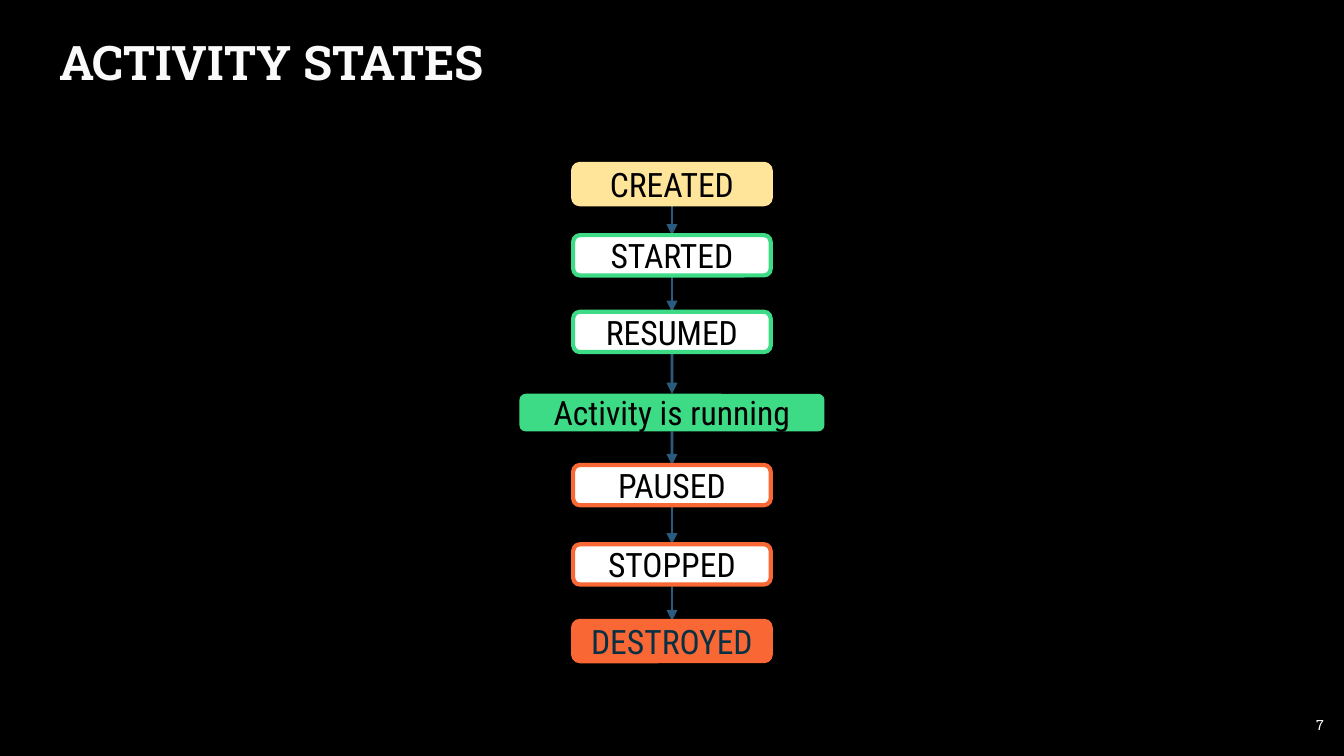
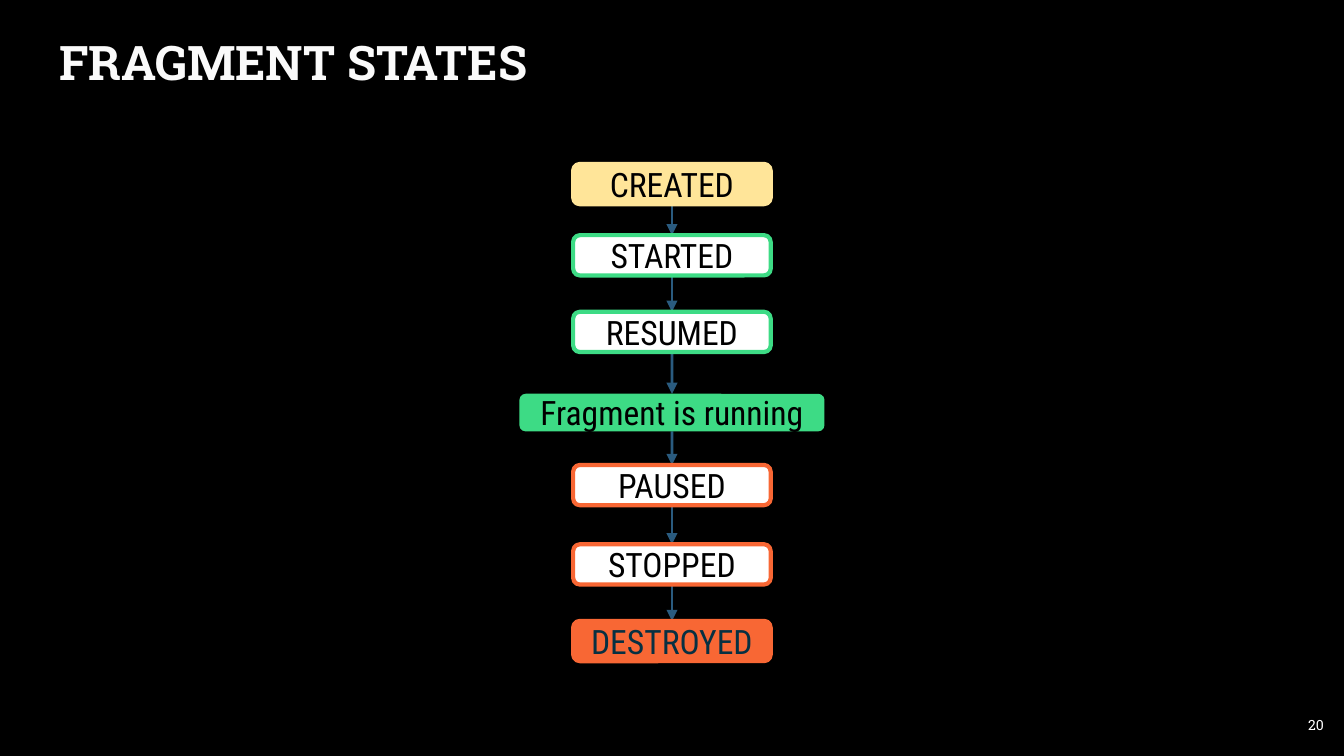
"""Build two lifecycle slides: activity states and fragment states."""
import pptx
import pptx.dml.color
import pptx.enum.shapes
import pptx.enum.text
import pptx.oxml
import pptx.oxml.ns
import pptx.util

LIFECYCLES = [
    {"title": "ACTIVITY STATES", "running": "Activity is running", "page": "7"},
    {"title": "FRAGMENT STATES", "running": "Fragment is running", "page": "20"},
]
STATES = [
    ("CREATED", 1.22, "cream", "cream", "black"),
    ("STARTED", 1.75, "white", "green", "black"),
    ("RESUMED", 2.32, "white", "green", "black"),
    ("running", 2.93, "green", None, "black"),
    ("PAUSED", 3.46, "white", "orange", "black"),
    ("STOPPED", 4.05, "white", "orange", "black"),
    ("DESTROYED", 4.62, "orange", "orange", "navy"),
]
COLOURS = {
    "black": "000000", "white": "FFFFFF", "title": "FAFAFA", "cream": "FFE599",
    "green": "3DDB85", "orange": "F86734", "navy": "073042", "arrow": "2A5B7F",
}
WIDTH = 10
HEIGHT = WIDTH * 9 / 16
STATE_SIZE, RUNNING_SIZE = (1.47, 0.3), (2.27, 0.28)
CORNER = 0.167
ALIGN = pptx.enum.text.PP_ALIGN
ANCHOR = pptx.enum.text.MSO_ANCHOR
FONTS = {
    "title": {"name": "Roboto Slab", "size": pptx.util.Pt(25.5), "bold": True},
    "page": {"name": "Roboto Slab", "size": pptx.util.Pt(7.5)},
    "state": {"name": "Roboto Condensed", "size": pptx.util.Pt(18)},
}
FRAME = {
    "word_wrap": True, "auto_size": pptx.enum.text.MSO_AUTO_SIZE.NONE,
    **{f"margin_{side}": pptx.util.Inches(0.1) for side in ("left", "top", "right", "bottom")},
}


def inches(*lengths):
    return [pptx.util.Inches(length) for length in lengths]


def colour(name):
    return pptx.dml.color.RGBColor.from_string(COLOURS[name])


def apply(target, formats):
    for attribute, value in formats.items():
        setattr(target, attribute, value)


def paint(fill, name):
    fill.solid()
    fill.fore_color.rgb = colour(name)


def write(holder, words, style, ink, align, anchor=ANCHOR.MIDDLE):
    frame = holder.text_frame
    frame.text = words
    apply(frame, {**FRAME, "vertical_anchor": anchor})
    paragraph = frame.paragraphs[0]
    paragraph.alignment = align
    font = paragraph.runs[0].font
    apply(font, FONTS[style])
    font.color.rgb = colour(ink)
    return paragraph


def state_size(state):
    return RUNNING_SIZE if state == "running" else STATE_SIZE


def add_arrow(slide, start, end):
    arrow = slide.shapes.add_connector(
        pptx.enum.shapes.MSO_CONNECTOR.STRAIGHT, *inches(WIDTH / 2, start, WIDTH / 2, end))
    arrow.line.width = pptx.util.Pt(1.5)
    arrow.line.color.rgb = colour("arrow")
    namespace = pptx.oxml.ns.nsdecls("a")
    arrow.line._get_or_add_ln().append(
        pptx.oxml.parse_xml(f'<a:tailEnd {namespace} type="triangle"/>'))
    arrow._element.spPr.append(pptx.oxml.parse_xml(f"<a:effectLst {namespace}/>"))
    return arrow


def add_state(slide, words, top, size, fill, border, ink):
    width, height = size
    state = slide.shapes.add_shape(
        pptx.enum.shapes.MSO_SHAPE.ROUNDED_RECTANGLE,
        *inches((WIDTH - width) / 2, top, width, height))
    state.adjustments[0] = CORNER
    state.shadow.inherit = False
    paint(state.fill, fill)
    if border:
        state.line.color.rgb = colour(border)
        state.line.width = pptx.util.Pt(2.25)
    else:
        state.line.fill.background()
    write(state, words, "state", ink, ALIGN.CENTER)
    return state


def add_lifecycle(slide, running):
    arrows = [add_arrow(slide, upper[1] + state_size(upper[0])[1], lower[1])
              for upper, lower in zip(STATES, STATES[1:])]
    states = [add_state(slide, running if name == "running" else name, top,
                        state_size(name), fill, border, ink)
              for name, top, fill, border, ink in STATES]
    for arrow, upper, lower in zip(arrows, states, states[1:]):
        arrow.begin_connect(upper, 2)
        arrow.end_connect(lower, 0)


def add_slide(presentation, lifecycle):
    slide = presentation.slides.add_slide(presentation.slide_layouts[5])
    title = slide.shapes.title
    apply(title, dict(zip(("left", "top", "width", "height"), inches(0.34, 0.19, 9.32, 0.63))))
    heading = write(title, lifecycle["title"], "title", "title", ALIGN.LEFT, ANCHOR.TOP)
    heading.line_spacing = 0.9
    page = slide.shapes.add_textbox(*inches(9.35, 5.18, 0.6, 0.43))
    write(page, lifecycle["page"], "page", "white", ALIGN.RIGHT)
    add_lifecycle(slide, lifecycle["running"])


def main():
    presentation = pptx.Presentation()
    presentation.slide_width, presentation.slide_height = inches(WIDTH, HEIGHT)
    paint(presentation.slide_master.background.fill, "black")
    for lifecycle in LIFECYCLES:
        add_slide(presentation, lifecycle)
    presentation.save("out.pptx")


if __name__ == "__main__":
    main()
